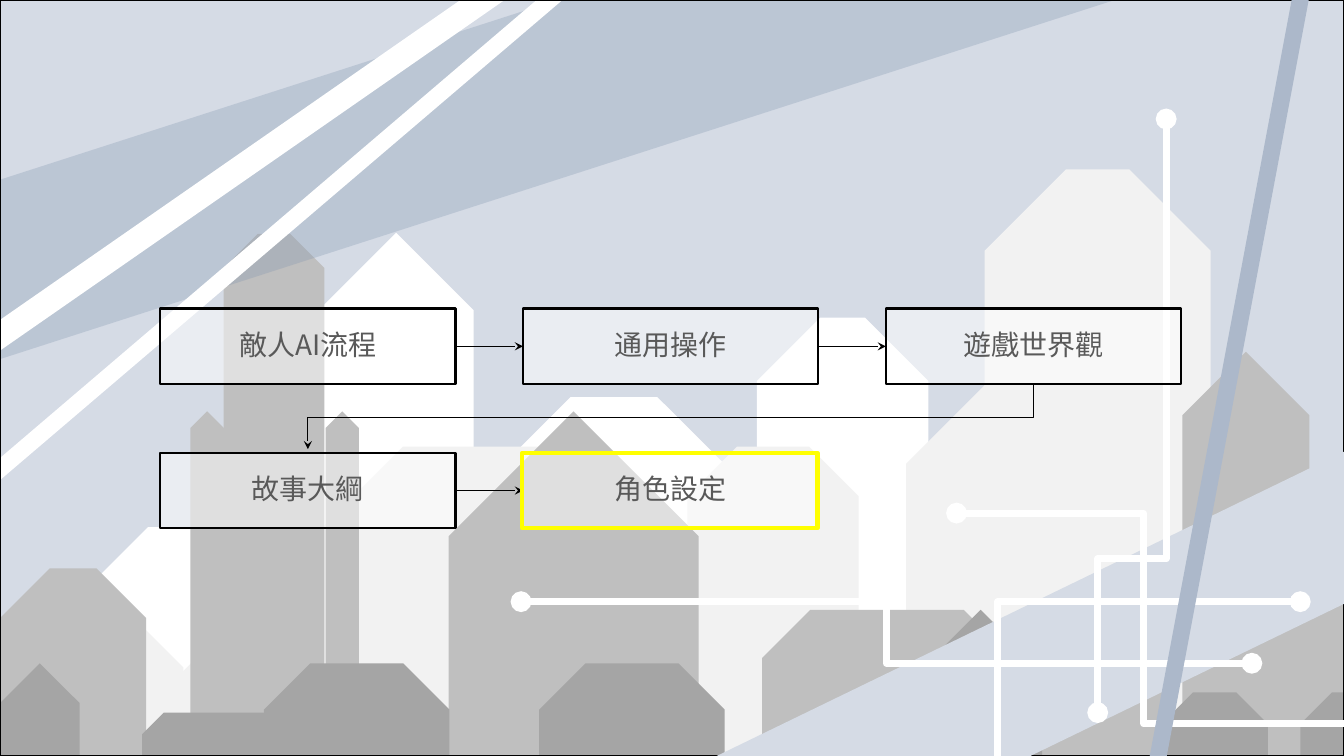
"""Build a slide with a five-step game design flow over a city skyline."""
from lxml import etree
from pptx import Presentation
from pptx.dml.color import RGBColor
from pptx.enum.shapes import MSO_CONNECTOR, MSO_SHAPE
from pptx.enum.text import MSO_ANCHOR, PP_ALIGN
from pptx.oxml.ns import qn
from pptx.util import Pt

SNIP = MSO_SHAPE.SNIP_2_SAME_RECTANGLE
STRIPE = MSO_SHAPE.DIAGONAL_STRIPE
RECTANGLE = MSO_SHAPE.RECTANGLE
STRAIGHT = MSO_CONNECTOR.STRAIGHT
ELBOW = MSO_CONNECTOR.ELBOW
CENTER = PP_ALIGN.CENTER
MIDDLE = MSO_ANCHOR.MIDDLE
FONT = "Noto Sans CJK TC"
WIDTH, HEIGHT = 960, 540
SKY, WHITE, BLACK = "D5DBE5", "FFFFFF", "000000"
BOTTOM, LEFT, RIGHT = 2, 1, 3


def add_shape(shapes, kind, box, fill=None, alpha=None, adjustment=None, line=None):
    shape = shapes.add_shape(kind, *[Pt(value) for value in box])
    shape.shadow.inherit = False
    if adjustment is not None:
        shape.adjustments[0] = adjustment
    if fill:
        shape.fill.solid()
        shape.fill.fore_color.rgb = RGBColor.from_string(fill)
    else:
        shape.fill.background()
    if alpha:
        color = shape._element.spPr.find(qn("a:solidFill"))[0]
        etree.SubElement(color, qn("a:alpha"), val=str(alpha * 1000))
    if line:
        shape.line.color.rgb = RGBColor.from_string(line[0])
        shape.line.width = Pt(line[1])
    else:
        shape.line.fill.background()
    return shape


def add_line(begin, end, color, width, head=None, tail=None, bend=None, vertical=False):
    if vertical:
        middle_x, middle_y = (begin[0] + end[0]) / 2, (begin[1] + end[1]) / 2
        half_x, half_y = (begin[0] - end[0]) / 2, (end[1] - begin[1]) / 2
        begin = middle_x - half_y, middle_y - half_x
        end = middle_x + half_y, middle_y + half_x
    kind = STRAIGHT if bend is None else ELBOW
    connector = slide.shapes.add_connector(kind, *[Pt(value) for value in (*begin, *end)])
    connector.line.color.rgb = RGBColor.from_string(color)
    connector.line.width = Pt(width)
    properties = connector._element.spPr
    if vertical:
        properties.find(qn("a:xfrm")).set("rot", "5400000")
    if bend is not None:
        guides = properties.find(qn("a:prstGeom")).find(qn("a:avLst"))
        etree.SubElement(guides, qn("a:gd"), name="adj1", fmla=f"val {round(bend * 100000)}")
    for tag, arrowhead in (("a:headEnd", head), ("a:tailEnd", tail)):
        if arrowhead:
            etree.SubElement(properties.find(qn("a:ln")), qn(tag), type=arrowhead)
    etree.SubElement(properties, qn("a:effectLst"))
    return connector


presentation = Presentation()
presentation.slide_width = Pt(WIDTH)
presentation.slide_height = Pt(HEIGHT)
slide = presentation.slides.add_slide(presentation.slide_layouts[6])
slide.background.fill.solid()
slide.background.fill.fore_color.rgb = RGBColor.from_string(SKY)

skyline = {
    WHITE: [
        (540.7, 226.8, 122.4, 0.37), (319, 283.7, 239, 0.37),
        (227.5, 166.3, 110.9, 0.5), (65.5, 376.6, 129.6, 0.31),
    ],
    "F2F2F2": [
        (647.3, 270, 122.4, 0.5), (703.4, 121, 161.3, 0.36),
        (491, 319, 122.4, 0.29), (223.9, 319, 233.3, 0.29),
        (117.4, 445.7, 129.6, 0.5), (1.4, 445.7, 129.6, 0.33),
    ],
    "BFBFBF": [
        (845.3, 349.2, 205.2, 0.42), (722.2, 435.6, 110.9, 0.33),
        (844.6, 251.3, 90.7, 0.5), (544.3, 435.6, 178.6, 0.33),
        (320.4, 293.8, 178.6, 0.5), (232.6, 293.8, 23.8, 0.5),
        (159.8, 167, 72, 0.34), (136.1, 293.8, 23.8, 0.5),
        (0, 406, 104.4, 0.34),
    ],
    "A5A5A5": [
        (928.8, 494.6, 157.7, 0.5), (829.4, 494.6, 76.3, 0.5),
        (656.6, 435.6, 87.8, 0.5), (385.2, 473.8, 132.5, 0.5),
        (188.6, 473.8, 132.5, 0.5), (101.5, 509, 110.2, 0.5),
        (0, 473.8, 56.9, 0.5),
    ],
}
for color, buildings in skyline.items():
    group = slide.shapes.add_group_shape()
    for left, top, width, snip in buildings:
        add_shape(group.shapes, SNIP, (left, top, width, HEIGHT - top), color, adjustment=snip)

add_shape(slide.shapes, STRIPE, (0, 0, 318.2, 109.4), SKY, adjustment=0)
add_shape(slide.shapes, STRIPE, (0.7, 0, 795.6, 256.3), "8296B0", 30, 0.5)
add_line((406.8, -12.2), (-6.5, 340.6), WHITE, 12)
add_line((362.2, -12.2), (-6.5, 244), WHITE, 18)
add_shape(slide.shapes, RECTANGLE, (0, 0, WIDTH, HEIGHT), line=(BLACK, 1))
road = add_shape(slide.shapes, STRIPE, (511.9, 322.6, 448.1, 217.4), SKY, adjustment=0.5)
road.rotation = 180

circuits = [
    ((928.8, 429.8), (613.4, 559.4), 0.685, False),
    ((372.2, 429.8), (894.2, 473.8), 0.5, False),
    ((833, 85), (784.1, 509), 0.741, True),
    ((683.3, 366.5), (995.8, 517), 0.428, False),
]
for begin, end, bend, vertical in circuits:
    add_line(begin, end, WHITE, 5, "oval", "oval", bend, vertical)

box_left, box_top, box_width, box_height = 114.4, 220.4, 211, 54
column_step, row_step = 259.2, 103
steps = ["敵人AI流程", "通用操作", "遊戲世界觀", "故事大綱", "角色設定"]
boxes = []
for index, step in enumerate(steps):
    row, column = divmod(index, 3)
    left, top = box_left + column * column_step, box_top + row * row_step
    box = add_shape(slide.shapes, RECTANGLE, (left, top, box_width, box_height),
                    WHITE, 50, line=(BLACK, 1.5))
    text_frame = box.text_frame
    text_frame.text = step
    text_frame.word_wrap = True
    text_frame.vertical_anchor = MIDDLE
    text_frame.margin_left = text_frame.margin_right = Pt(11.5)
    text_frame.margin_top = text_frame.margin_bottom = Pt(11.5)
    paragraph = text_frame.paragraphs[0]
    paragraph.alignment = CENTER
    paragraph.line_spacing = 0.9
    run = paragraph.runs[0]
    run.font.size = Pt(20)
    run.font.name = FONT
    run.font.color.rgb = RGBColor.from_string("595959")
    etree.SubElement(run.font._element, qn("a:ea"), typeface=FONT)
    boxes.append(box)

for start, finish in ((0, 1), (1, 2), (3, 4)):
    arrow = add_line((0, 0), (1, 1), BLACK, 0.75, tail="stealth")
    arrow.begin_connect(boxes[start], RIGHT)
    arrow.end_connect(boxes[finish], LEFT)
first_center = box_left + box_width / 2
add_line((first_center + 2 * column_step, box_top + box_height),
         (first_center, box_top + row_step - 2.5),
         BLACK, 0.75, tail="stealth", bend=0.52, vertical=True)

add_line((936.7, -42.5), (823.7, 559.4), "ACB8CA", 12)
add_shape(slide.shapes, RECTANGLE,
          (box_left + column_step - 0.6, box_top + row_step, box_width, box_height),
          line=("FFFF00", 3))

presentation.save("out.pptx")
